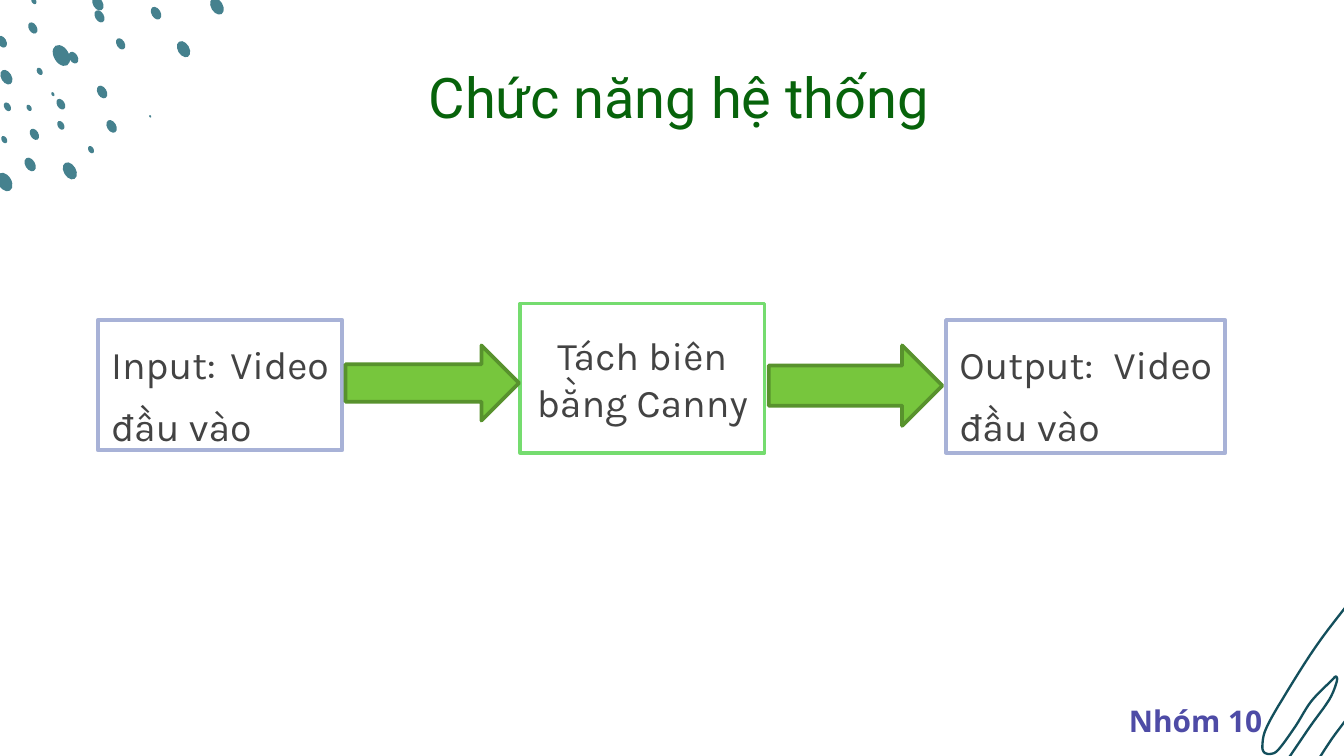
import pptx
import pptx.util
import pptx.dml.color
import pptx.enum.shapes
import pptx.enum.text

Cm = pptx.util.Cm
Pt = pptx.util.Pt
RGBColor = pptx.dml.color.RGBColor
SHAPE = pptx.enum.shapes.MSO_SHAPE
ALIGN = pptx.enum.text.PP_ALIGN
ANCHOR = pptx.enum.text.MSO_ANCHOR

TEAL = RGBColor(0x45, 0x81, 0x8E)
DARK_TEAL = RGBColor(0x13, 0x4F, 0x5C)
WHITE = RGBColor(0xFF, 0xFF, 0xFF)
LAVENDER = RGBColor(0xA8, 0xB2, 0xD7)
LIGHT_GREEN = RGBColor(0x75, 0xDC, 0x6F)
ARROW_GREEN = RGBColor(0x77, 0xC6, 0x3D)
ARROW_EDGE = RGBColor(0x58, 0x92, 0x2D)
GREY = RGBColor(0x43, 0x43, 0x43)
INDIGO = RGBColor(0x4E, 0x4B, 0xA6)
TITLE_GREEN = RGBColor(0x07, 0x63, 0x0B)

deck = pptx.Presentation()
deck.slide_width = Cm(25.4)
deck.slide_height = Cm(14.29)
page = deck.slides.add_slide(deck.slide_layouts[6])


def add_block(kind, place, fill, edge=None):
    """Add a preset shape at left, top, width, height in centimetres."""
    block = page.shapes.add_shape(kind, *[Cm(length) for length in place])
    block.shadow.inherit = False
    block.fill.solid()
    block.fill.fore_color.rgb = fill
    if edge is None:
        block.line.fill.background()
    else:
        block.line.color.rgb = edge
        block.line.width = Pt(2)
    return block


def write_text(box, text, frame_format, para_format, font_format, color):
    frame = box.text_frame
    para = frame.paragraphs[0]
    span = para.add_run()
    span.text = text
    span.font.color.rgb = color
    for target, values in ((frame, frame_format), (para, para_format),
                           (span.font, font_format)):
        for name, value in values.items():
            setattr(target, name, value)


# Hand-drawn loops in the lower right corner, smoothed through their points
loops = [
    [(25.53, 11.35), (24.87, 12.22), (24.23, 13.23), (23.93, 13.77),
     (23.86, 14.07), (23.89, 14.22), (24.03, 14.25), (24.18, 14.15),
     (24.49, 13.72), (24.78, 13.26), (25.15, 12.88), (25.25, 12.79),
     (25.26, 12.9), (25.12, 13.23), (24.77, 13.72), (24.41, 14.25),
     (24.33, 14.36)],
    [(24.84, 14.48), (25.17, 13.97), (25.53, 13.49)],
]
STEPS = 6
for points in loops:
    padded = [points[0]] + points + [points[-1]]
    curve = []
    for a, b, c, d in zip(padded, padded[1:], padded[2:], padded[3:]):
        for step in range(1, STEPS + 1):
            t = step / STEPS
            curve.append([
                Cm(q + t * (r - p) / 2 + t * t * (2 * p - 5 * q + 4 * r - s) / 2
                   + t ** 3 * (3 * q - p - 3 * r + s) / 2)
                for p, q, r, s in zip(a, b, c, d)])
    builder = page.shapes.build_freeform(Cm(points[0][0]), Cm(points[0][1]))
    builder.add_line_segments(curve, close=False)
    loop = builder.convert_to_shape()
    loop.shadow.inherit = False
    loop.fill.background()
    loop.line.color.rgb = DARK_TEAL
    loop.line.width = Pt(1.25)

# Spatter in the upper left corner: centre x, centre y, length
dots = [
    (0.09, 3.44, 0.38), (1.16, 1.05, 0.43), (0.75, 1.35, 0.15),
    (1, 1.78, 0.08), (0.55, 2.04, 0.13), (0.08, 2.64, 0.15),
    (0.57, 3.11, 0.28), (0.65, 2.54, 0.23), (0.14, 2.02, 0.18),
    (1.15, 2.37, 0.18), (1.15, 1.97, 0.22), (1.93, 1.74, 0.26),
    (1.39, 1.09, 0.24), (2.28, 0.83, 0.23), (1.88, 0.31, 0.25),
    (1.85, 0.07, 0.28), (2.95, 0.25, 0.26), (2.84, 2.2, 0.05),
    (2.11, 2.39, 0.26), (1.72, 2.83, 0.15), (1.32, 3.23, 0.35),
    (0.12, 1.46, 0.3), (0.04, 0.79, 0.24), (0.62, 0.53, 0.23),
    (0.64, 0.02, 0.13), (3.47, 0.93, 0.33), (4.1, 0.12, 0.34),
]
for x, y, length in dots:
    breadth = 0.66 * length
    dot = add_block(SHAPE.OVAL, (x - length / 2, y - breadth / 2, length, breadth), TEAL)
    dot.rotation = 59.3

# Processing steps
step_font = {"name": "Karla", "size": Pt(21)}
spread = {"alignment": ALIGN.JUSTIFY, "line_spacing": 1.3, "space_after": Pt(6)}
centred = {"alignment": ALIGN.CENTER}
steps = [
    ("Input: Video đầu vào", (1.85, 6.05, 4.62, 2.46), LAVENDER, ANCHOR.TOP, spread),
    ("Tách biên bằng Canny", (9.83, 5.74, 4.62, 2.82), LIGHT_GREEN, ANCHOR.MIDDLE, centred),
    ("Output: Video đầu vào", (17.88, 6.05, 5.28, 2.51), LAVENDER, ANCHOR.TOP, spread),
]
for text, place, edge, anchor, para_format in steps:
    box = add_block(SHAPE.RECTANGLE, place, WHITE, edge)
    write_text(box, text, {"word_wrap": True, "vertical_anchor": anchor},
               para_format, step_font, GREY)

# Arrows between the steps
for place in ((6.53, 6.53, 3.28, 1.42), (14.53, 6.53, 3.28, 1.52)):
    add_block(SHAPE.RIGHT_ARROW, place, ARROW_GREEN, ARROW_EDGE)

# Title and group label
labels = [
    ("Chức năng hệ thống", (2.13, 0.94, 21.41, 1.6), ANCHOR.TOP,
     {"name": "Roboto", "size": Pt(30)}, TITLE_GREEN),
    ("Nhóm 10", (19.93, 12.98, 5.33, 1.27), ANCHOR.MIDDLE,
     {"name": "Open Sans", "size": Pt(16), "bold": True}, INDIGO),
]
margins = {"margin_" + side: Cm(0.25) for side in ("left", "top", "right", "bottom")}
for text, place, anchor, font_format, color in labels:
    box = page.shapes.add_textbox(*[Cm(length) for length in place])
    write_text(box, text, {"word_wrap": True, "vertical_anchor": anchor, **margins},
               centred, font_format, color)

deck.save("out.pptx")
